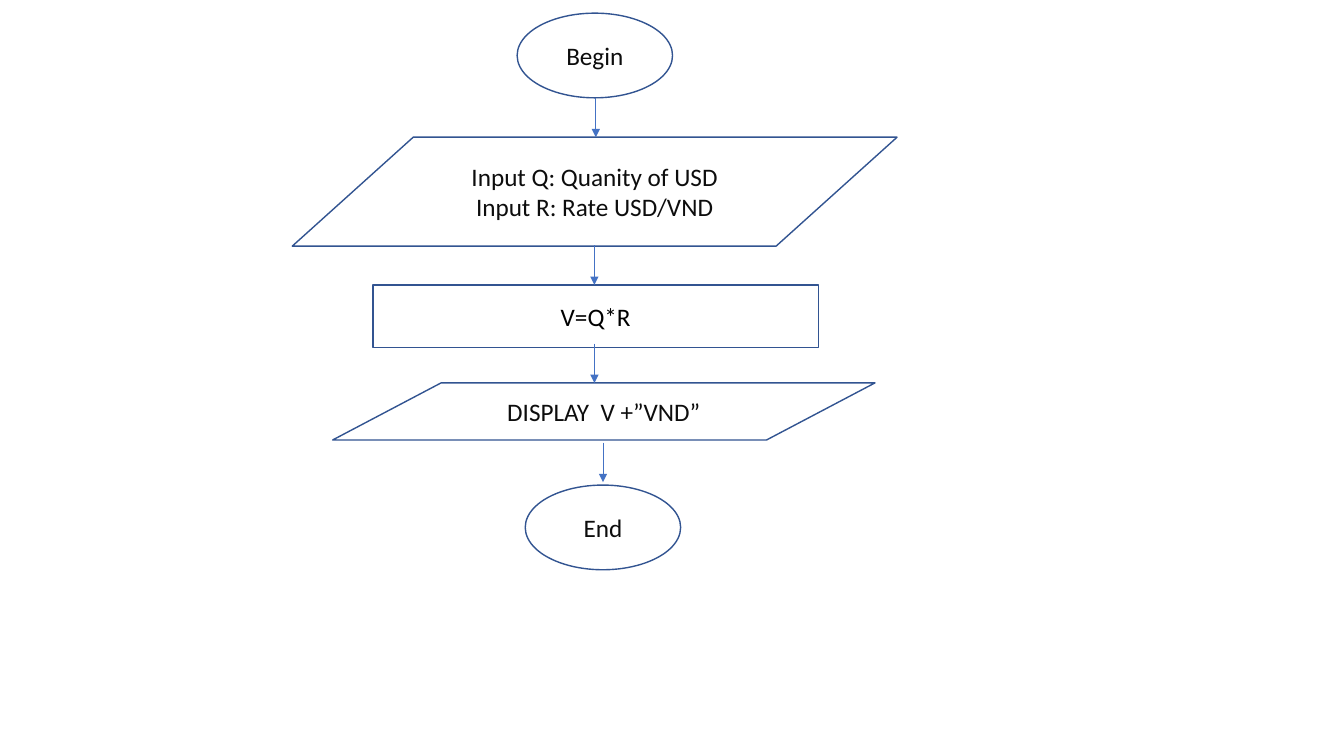
"""Flowchart that converts a quantity of USD to VND."""
import pptx
import pptx.dml.color
import pptx.enum.shapes
import pptx.enum.text
import pptx.oxml.ns
import pptx.util
from lxml import etree

Pt = pptx.util.Pt
KIND = pptx.enum.shapes.MSO_SHAPE
COLORS = {"edge": "325491", "arrow": "4472C4", "text": "0D0D0D", "black": "000000"}


def color(name):
    return pptx.dml.color.RGBColor.from_string(COLORS[name])


def write(frame, text, size=18, font="Calibri", ink="text"):
    frame.word_wrap = True
    frame.vertical_anchor = pptx.enum.text.MSO_ANCHOR.MIDDLE
    frame.text = text
    for para in frame.paragraphs:
        para.alignment = pptx.enum.text.PP_ALIGN.CENTER
        para.font.size = Pt(size)
        para.font.name = font
        para.font.color.rgb = color(ink)


def add_step(slide, kind, box, text, **style):
    step = slide.shapes.add_shape(kind, *map(Pt, box))
    step.shadow.inherit = False
    step.fill.background()
    step.line.color.rgb = color("edge")
    step.line.width = Pt(1)
    write(step.text_frame, text, **style)


def add_arrow(slide, x, top, drop=28.2):
    arrow = slide.shapes.add_connector(
        pptx.enum.shapes.MSO_CONNECTOR.STRAIGHT, Pt(x), Pt(top), Pt(x), Pt(top + drop))
    arrow.line.color.rgb = color("arrow")
    arrow.line.width = Pt(0.5)
    qn = pptx.oxml.ns.qn
    etree.SubElement(arrow.line._get_or_add_ln(), qn("a:tailEnd"), type="triangle")
    etree.SubElement(arrow._element.spPr, qn("a:effectLst"))


def main():
    deck = pptx.Presentation()
    deck.slide_width, deck.slide_height = Pt(960), Pt(540)
    slide = deck.slides.add_slide(deck.slide_layouts[6])

    add_step(slide, KIND.OVAL, (369.4, 9.4, 111, 60.5), "Begin")
    add_step(slide, KIND.FLOWCHART_DATA, (208.8, 98, 432, 77.8),
             "Input Q: Quanity of USD\nInput R: Rate USD/VND")
    add_step(slide, KIND.FLOWCHART_PROCESS, (266.4, 203.6, 318.2, 44.8),
             "V=Q*R", ink="black")
    add_step(slide, KIND.FLOWCHART_DATA, (237.6, 273.5, 387.4, 40.8),
             "DISPLAY  V +”VND”")
    add_step(slide, KIND.OVAL, (375.2, 346.5, 111, 60.5), "End")

    for x, top in ((425.6, 69.8), (424.6, 175.3), (424.6, 245.4), (430.7, 316.2)):
        add_arrow(slide, x, top)

    deck.save("out.pptx")


if __name__ == "__main__":
    main()
